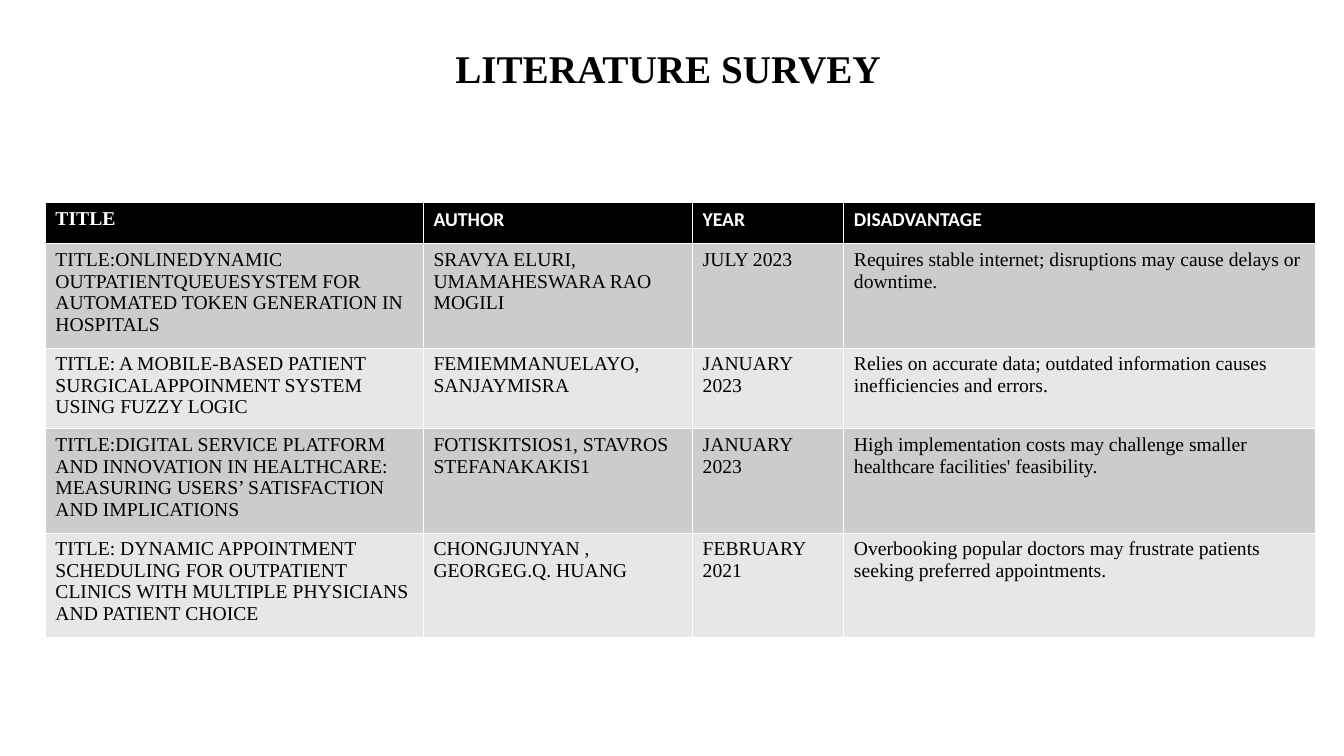
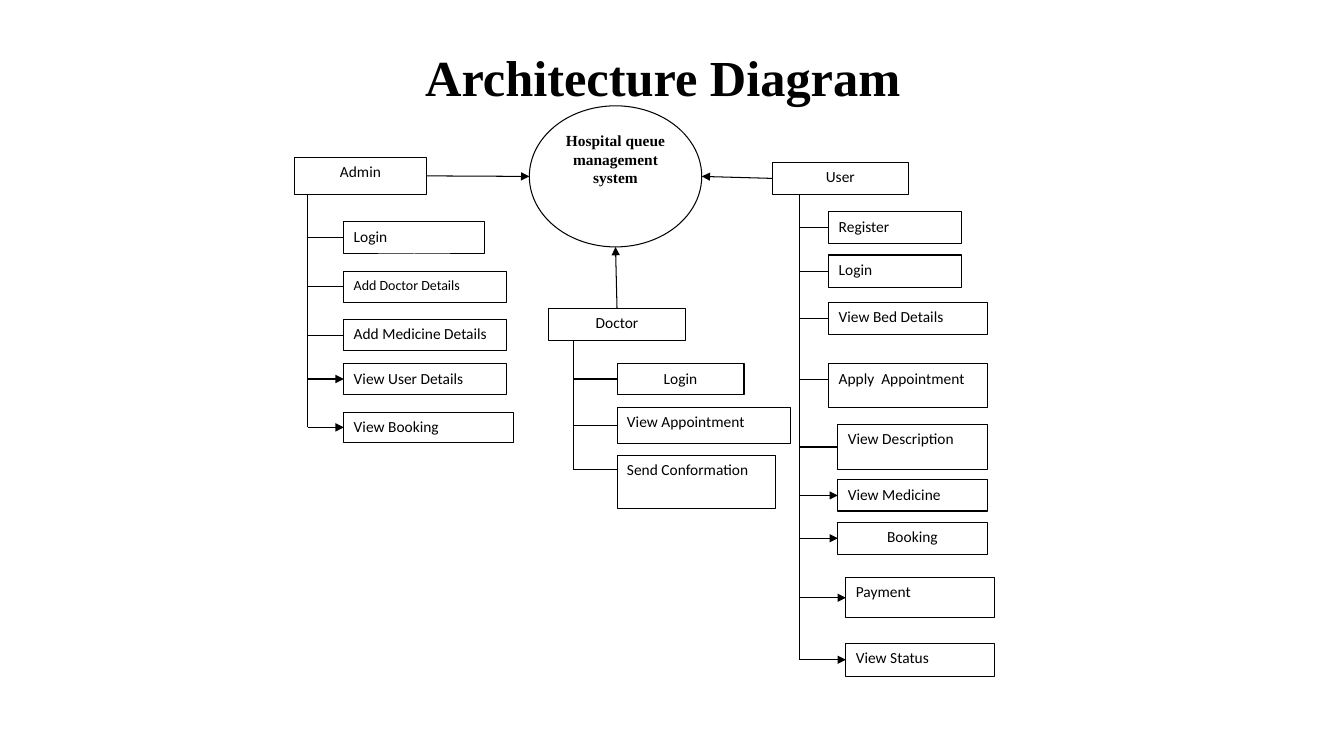
from dataclasses import dataclass

from lxml import etree
from pptx import Presentation
from pptx import util as u
from pptx.dml.color import RGBColor
from pptx.enum import shapes, text
from pptx.oxml import ns

COLORS = {
    "ink": "000000",
    "paper": "FFFFFF",
    "band_dark": "CCCCCC",
    "band_light": "E7E7E7",
}
SERIF = "Times New Roman"
SANS = "Calibri"
LEFT_SIDE, RIGHT_SIDE, TOP_SIDE = 1, 3, 0
CENTER, LEFT = text.PP_ALIGN.CENTER, text.PP_ALIGN.LEFT


@dataclass(frozen=True)
class Box:
    label: str
    left: float
    top: float
    width: float
    height: float
    align: text.PP_ALIGN = LEFT
    size: float = 11
    branch_y: float | None = None

    @property
    def middle(self) -> float:
        return self.top + self.height / 2

    @property
    def center(self) -> float:
        return self.left + self.width / 2


@dataclass(frozen=True)
class Role:
    head: Box
    side: int
    target: tuple[float, float]
    trunk_x: float
    arrows_from: int
    actions: tuple[Box, ...]


SURVEY_HEADINGS = ("TITLE", "AUTHOR", "YEAR", "DISADVANTAGE")
SURVEY_WIDTHS = (3.75, 2.67, 1.5, 4.68)
SURVEY_PAPERS = (
    ("TITLE:ONLINEDYNAMIC OUTPATIENTQUEUESYSTEM FOR AUTOMATED TOKEN GENERATION IN HOSPITALS",
     "SRAVYA ELURI, UMAMAHESWARA RAO MOGILI",
     "JULY 2023",
     "Requires stable internet; disruptions may cause delays or downtime."),
    ("TITLE: A MOBILE-BASED PATIENT SURGICALAPPOINMENT SYSTEM USING FUZZY LOGIC",
     "FEMIEMMANUELAYO, SANJAYMISRA",
     "JANUARY 2023",
     "Relies on accurate data; outdated information causes inefficiencies and errors."),
    ("TITLE:DIGITAL SERVICE PLATFORM AND INNOVATION IN HEALTHCARE: "
     "MEASURING USERS’ SATISFACTION AND IMPLICATIONS",
     "FOTISKITSIOS1, STAVROS STEFANAKAKIS1",
     "JANUARY\n2023",
     "High implementation costs may challenge smaller healthcare facilities' feasibility."),
    ("TITLE: DYNAMIC APPOINTMENT SCHEDULING FOR OUTPATIENT CLINICS "
     "WITH MULTIPLE PHYSICIANS AND PATIENT CHOICE",
     "CHONGJUNYAN , GEORGEG.Q. HUANG",
     "FEBRUARY\n2021",
     "Overbooking popular doctors may frustrate patients seeking preferred appointments."),
)

SYSTEM = Box("Hospital queue management system", 5.25, 1.05, 1.71, 1.4, CENTER)
ROLES = (
    Role(
        Box("Admin", 2.92, 1.56, 1.31, 0.37, CENTER),
        RIGHT_SIDE, (SYSTEM.left, SYSTEM.middle), 3.05, 3,
        (
            Box("Login", 3.41, 2.2, 1.4, 0.32),
            Box("Add Doctor Details", 3.41, 2.69, 1.61, 0.31, size=10),
            Box("Add Medicine Details", 3.41, 3.17, 1.61, 0.31),
            Box("View User Details", 3.41, 3.61, 1.61, 0.3),
            Box("View Booking", 3.41, 4.09, 1.68, 0.3),
        ),
    ),
    Role(
        Box("Doctor", 5.44, 3.06, 1.36, 0.32, CENTER),
        TOP_SIDE, (SYSTEM.center, SYSTEM.top + SYSTEM.height), 5.69, 3,
        (
            Box("Login", 6.12, 3.61, 1.26, 0.3, CENTER),
            Box("View Appointment", 6.12, 4.04, 1.72, 0.36),
            Box("Send Conformation", 6.12, 4.52, 1.57, 0.53, branch_y=4.66),
        ),
    ),
    Role(
        Box("User", 7.66, 1.61, 1.35, 0.32, CENTER),
        LEFT_SIDE, (SYSTEM.left + SYSTEM.width, SYSTEM.middle), 7.93, 5,
        (
            Box("Register", 8.22, 2.1, 1.32, 0.32),
            Box("Login", 8.22, 2.53, 1.32, 0.32),
            Box("View Bed Details", 8.22, 3, 1.57, 0.32),
            Box("Apply  Appointment", 8.22, 3.61, 1.57, 0.43, branch_y=3.77),
            Box("View Description", 8.31, 4.21, 1.48, 0.45),
            Box("View Medicine", 8.31, 4.76, 1.48, 0.31),
            Box("Booking", 8.31, 5.18, 1.48, 0.32, CENTER),
            Box("Payment", 8.39, 5.73, 1.47, 0.4),
            Box("View Status", 8.39, 6.38, 1.47, 0.33),
        ),
    ),
)


def rgb(name: str) -> RGBColor:
    return RGBColor.from_string(COLORS[name])


def style_text(frame, size: float, face: str, bold: bool = False,
               color: str = "ink", align=LEFT) -> None:
    for paragraph in frame.paragraphs:
        paragraph.alignment = align
        paragraph.font.size = u.Pt(size)
        paragraph.font.name = face
        paragraph.font.bold = bold
        paragraph.font.color.rgb = rgb(color)


def add_title(slide, wording: str, left: float, top: float,
              width: float, height: float, size: float) -> None:
    title = slide.shapes.add_textbox(
        u.Inches(left), u.Inches(top), u.Inches(width), u.Inches(height))
    frame = title.text_frame
    frame.word_wrap = True
    frame.vertical_anchor = text.MSO_ANCHOR.MIDDLE
    frame.margin_left = frame.margin_right = frame.margin_top = frame.margin_bottom = 0
    frame.text = wording
    style_text(frame, size, SERIF, bold=True, align=CENTER)


def add_survey(slide) -> None:
    rows = (SURVEY_HEADINGS, *SURVEY_PAPERS)
    row_height = 0.41
    survey = slide.shapes.add_table(
        len(rows), len(SURVEY_WIDTHS), u.Inches(0.45), u.Inches(2.01),
        u.Inches(sum(SURVEY_WIDTHS)), u.Inches(row_height * len(rows))).table
    for column, width in zip(survey.columns, SURVEY_WIDTHS):
        column.width = u.Inches(width)
    for r, entries in enumerate(rows):
        heading = r == 0
        band = "ink" if heading else "band_dark" if r % 2 else "band_light"
        for c, entry in enumerate(entries):
            cell = survey.cell(r, c)
            cell.text = entry
            cell.fill.solid()
            cell.fill.fore_color.rgb = rgb(band)
            style_text(cell.text_frame, 14, SANS if heading and c else SERIF,
                       heading, "paper" if heading else "ink")


def add_box(slide, box: Box, outline=shapes.MSO_SHAPE.RECTANGLE,
            face: str = SANS, bold: bool = False):
    node = slide.shapes.add_shape(
        outline, u.Inches(box.left), u.Inches(box.top),
        u.Inches(box.width), u.Inches(box.height))
    node.shadow.inherit = False
    node.fill.solid()
    node.fill.fore_color.rgb = rgb("paper")
    node.line.color.rgb = rgb("ink")
    node.line.width = u.Pt(0.75)
    frame = node.text_frame
    frame.word_wrap = True
    frame.vertical_anchor = text.MSO_ANCHOR.TOP
    frame.text = box.label
    style_text(frame, box.size, face, bold, align=box.align)
    return node


def add_line(slide, start: tuple[float, float], end: tuple[float, float],
             arrow: bool = False):
    link = slide.shapes.add_connector(
        shapes.MSO_CONNECTOR.STRAIGHT,
        *(u.Inches(value) for value in (*start, *end)))
    link.line.color.rgb = rgb("ink")
    link.line.width = u.Pt(0.75)
    if arrow:
        etree.SubElement(link.line._get_or_add_ln(), ns.qn("a:tailEnd"), type="triangle")
    etree.SubElement(link._element.spPr, ns.qn("a:effectLst"))
    return link


def add_role(slide, role: Role) -> None:
    head = role.head
    head_node = add_box(slide, head)
    to_system = add_line(slide, (head.center, head.middle), role.target, arrow=True)
    to_system.begin_connect(head_node, role.side)

    trunk_end = head.top + head.height
    for index, action in enumerate(role.actions):
        action_node = add_box(slide, action)
        y = action.branch_y or action.middle
        branch = add_line(slide, (role.trunk_x, y), (action.left, y),
                          arrow=index >= role.arrows_from)
        if action.branch_y is None:
            branch.end_connect(action_node, LEFT_SIDE)
        trunk_end = y
    add_line(slide, (role.trunk_x, head.top + head.height), (role.trunk_x, trunk_end))


def main() -> None:
    deck = Presentation()
    deck.slide_width, deck.slide_height = u.Inches(13.33), u.Inches(7.5)
    blank = deck.slide_layouts[6]

    survey_slide = deck.slides.add_slide(blank)
    add_title(survey_slide, "LITERATURE SURVEY", 1.45, 0.44, 10.35, 0.47, 28)
    add_survey(survey_slide)

    architecture_slide = deck.slides.add_slide(blank)
    add_title(architecture_slide, "Architecture Diagram", 4.09, 0.4, 4.97, 0.71, 36)
    add_box(architecture_slide, SYSTEM, shapes.MSO_SHAPE.OVAL, SERIF, bold=True)
    for role in ROLES:
        add_role(architecture_slide, role)

    deck.save("out.pptx")


if __name__ == "__main__":
    main()
